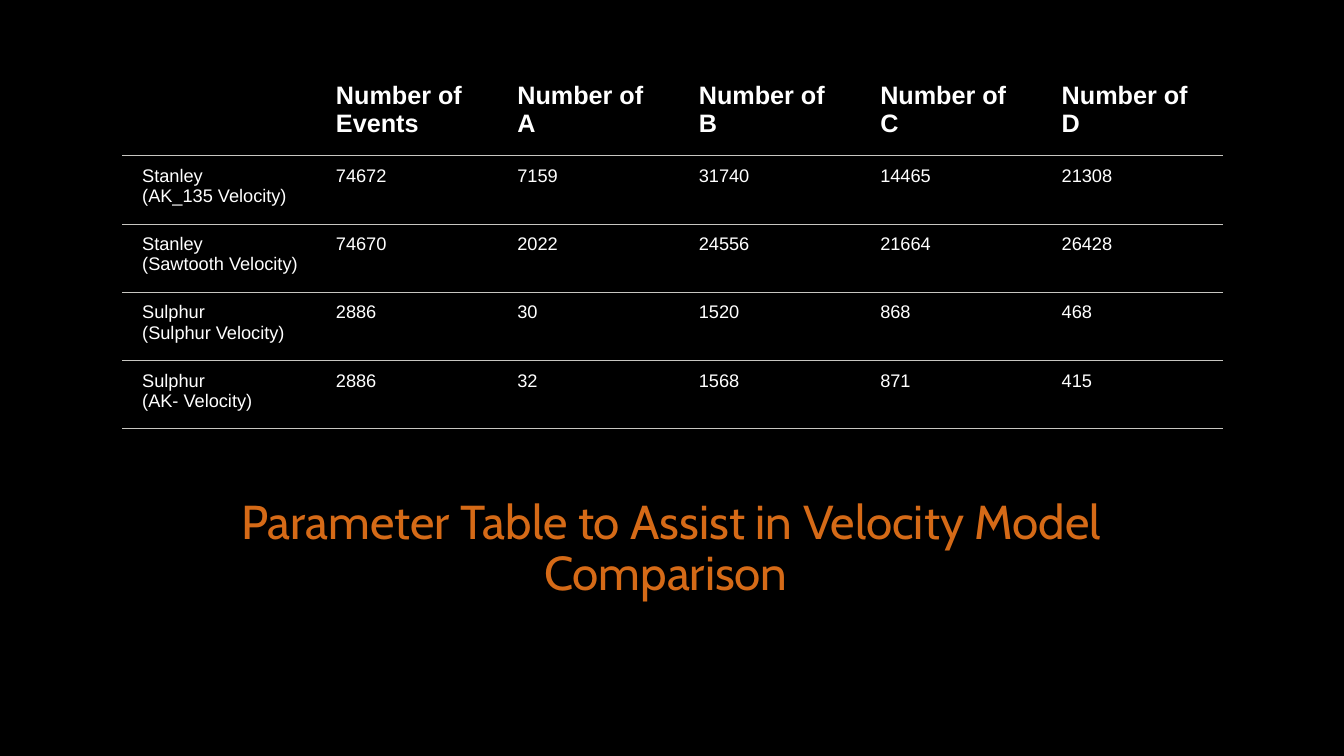
from typing import NamedTuple

from lxml import etree
from pptx import Presentation
from pptx.dml.color import RGBColor
from pptx.enum.text import MSO_ANCHOR, PP_ALIGN
from pptx.oxml.ns import qn
from pptx.util import Pt

BOTTOM = MSO_ANCHOR.BOTTOM
TOP = MSO_ANCHOR.TOP
CENTER = PP_ALIGN.CENTER
COLORS = {"background": "000000", "title": "D56A17", "text": "FFFFFF", "rule": "C7C6C1"}
RULE_WIDTH = Pt(0.75)
FIRST_COLUMN_WIDTH, COLUMN_WIDTH = 138.4, 129.6
HEADER_HEIGHT, ROW_HEIGHT = 60.5, 48.75


class TableRow(NamedTuple):
    label: str
    values: tuple[str, ...]
    height: float = ROW_HEIGHT
    font_size: float = 13
    bold: bool = False


ROWS = [
    TableRow("", ("Number of Events", "Number of A", "Number of B", "Number of C", "Number of D"),
             HEADER_HEIGHT, 18, True),
    TableRow("Stanley\n(AK_135 Velocity)", ("74672", "7159", "31740", "14465", "21308")),
    TableRow("Stanley\n(Sawtooth Velocity)", ("74670", "2022", "24556", "21664", "26428")),
    TableRow("Sulphur\n(Sulphur Velocity)", ("2886", "30", "1520", "868", "468")),
    TableRow("Sulphur\n(AK- Velocity)", ("2886", "32", "1568", "871", "415")),
]


def style_paragraph(paragraph, font_name: str, size: float, color: str, bold: bool = False) -> None:
    font = paragraph.font
    font.name = font_name
    font.size = Pt(size)
    font.bold = bold
    font.color.rgb = RGBColor.from_string(COLORS[color])


def set_borders(cell, ruled_sides: str) -> None:
    properties = cell._tc.get_or_add_tcPr()
    for side in "LRTB":
        line = etree.SubElement(properties, qn(f"a:ln{side}"), w=str(RULE_WIDTH))
        if side in ruled_sides:
            fill = etree.SubElement(line, qn("a:solidFill"))
            etree.SubElement(fill, qn("a:srgbClr"), val=COLORS["rule"])
        else:
            etree.SubElement(line, qn("a:noFill"))


def fill_cell(cell, text: str, row: TableRow, ruled_sides: str) -> None:
    set_borders(cell, ruled_sides)
    cell.fill.background()
    cell.margin_left, cell.margin_right = Pt(14.4), Pt(10.8)
    cell.margin_top = cell.margin_bottom = Pt(7.2)
    cell.vertical_anchor = TOP
    cell.text = text
    for paragraph in cell.text_frame.paragraphs:
        style_paragraph(paragraph, "Arial", row.font_size, "text", row.bold)


def add_parameter_table(slide) -> None:
    column_count = len(ROWS[0].values) + 1
    width = FIRST_COLUMN_WIDTH + COLUMN_WIDTH * (column_count - 1)
    height = sum(row.height for row in ROWS)
    table = slide.shapes.add_table(
        len(ROWS), column_count, Pt(87.2), Pt(50.8), Pt(width), Pt(height)).table
    table.horz_banding = False
    for index, column in enumerate(table.columns):
        column.width = Pt(COLUMN_WIDTH if index else FIRST_COLUMN_WIDTH)
    for row_index, row in enumerate(ROWS):
        table.rows[row_index].height = Pt(row.height)
        ruled_sides = "TB" if row_index else "B"
        for column_index, text in enumerate((row.label, *row.values)):
            fill_cell(table.cell(row_index, column_index), text, row, ruled_sides)


def add_title(slide) -> None:
    title = slide.shapes.add_textbox(Pt(108), Pt(347), Pt(743), Pt(85.7))
    text_frame = title.text_frame
    text_frame.word_wrap = True
    text_frame.vertical_anchor = BOTTOM
    paragraph = text_frame.paragraphs[0]
    paragraph.text = "Parameter Table to Assist in Velocity Model Comparison "
    paragraph.alignment = CENTER
    paragraph.line_spacing = 0.9
    style_paragraph(paragraph, "Cabin", 34, "title")


def main() -> None:
    presentation = Presentation()
    presentation.slide_width, presentation.slide_height = Pt(960), Pt(540)
    slide = presentation.slides.add_slide(presentation.slide_layouts[6])
    background = slide.background.fill
    background.solid()
    background.fore_color.rgb = RGBColor.from_string(COLORS["background"])
    add_title(slide)
    add_parameter_table(slide)
    presentation.save("out.pptx")


if __name__ == "__main__":
    main()
